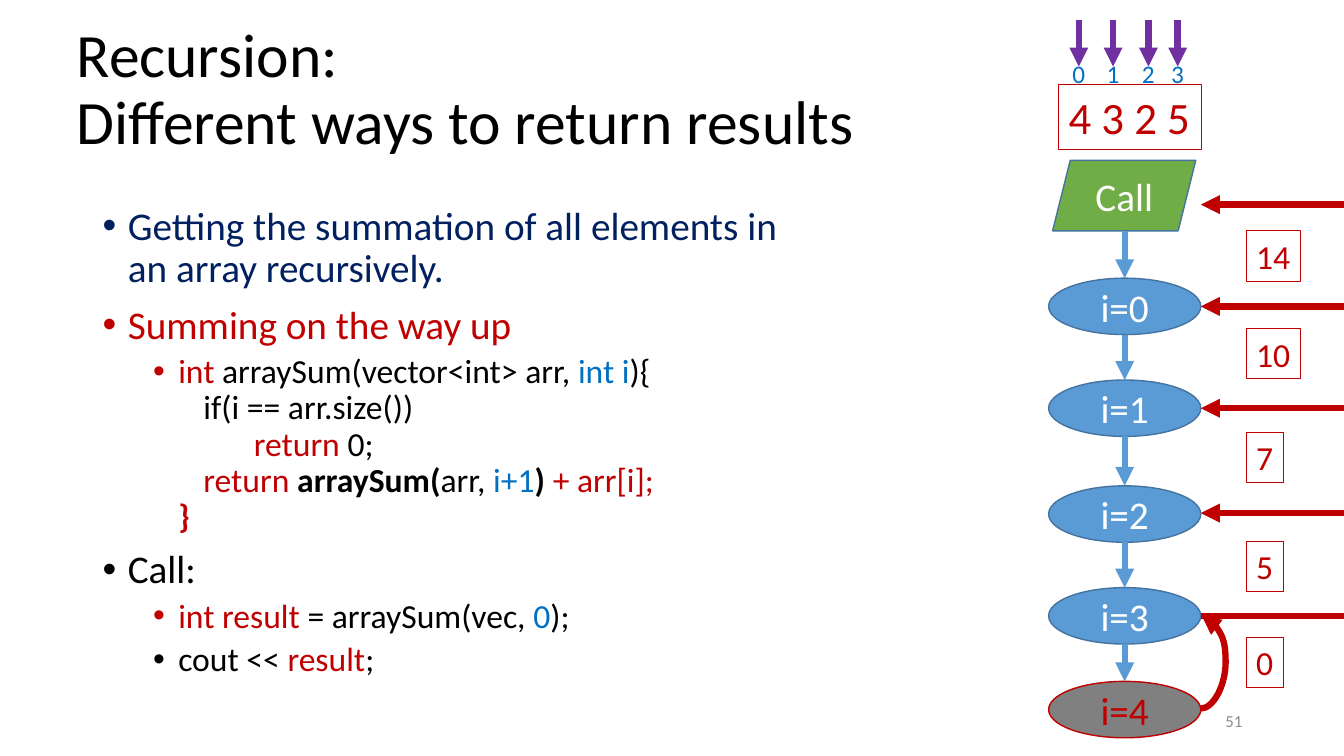
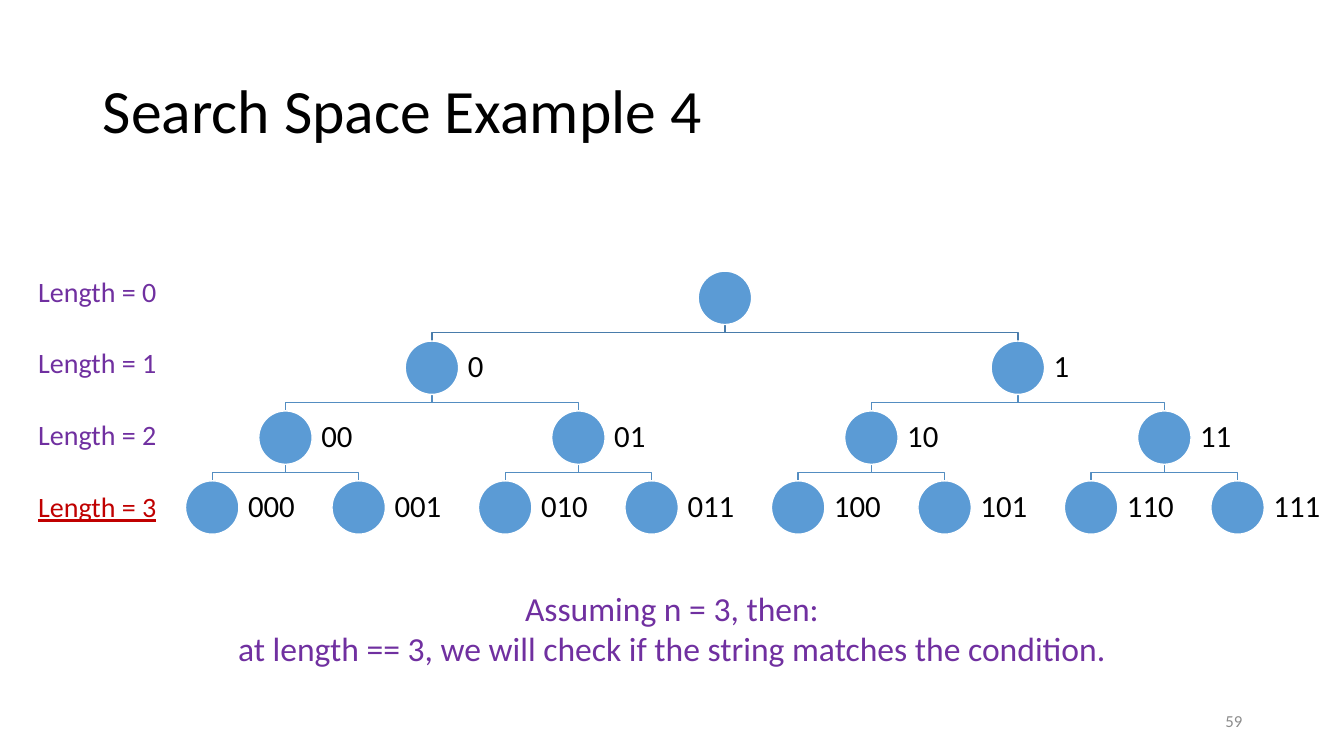
from dataclasses import dataclass

from lxml import etree
from pptx import Presentation
from pptx.dml.color import RGBColor
from pptx.enum.shapes import MSO_CONNECTOR, MSO_SHAPE
from pptx.enum.text import MSO_ANCHOR, MSO_AUTO_SIZE, PP_ALIGN
from pptx.oxml.ns import qn
from pptx.util import Inches, Pt

STRAIGHT, CURVE = MSO_CONNECTOR.STRAIGHT, MSO_CONNECTOR.CURVE
OVAL, RECTANGLE = MSO_SHAPE.OVAL, MSO_SHAPE.RECTANGLE
PARALLELOGRAM = MSO_SHAPE.PARALLELOGRAM
LEFT, CENTER, RIGHT = PP_ALIGN.LEFT, PP_ALIGN.CENTER, PP_ALIGN.RIGHT
TOP, MIDDLE = MSO_ANCHOR.TOP, MSO_ANCHOR.MIDDLE
NO_AUTOFIT = MSO_AUTO_SIZE.NONE
TITLE_ONLY = 5
SLIDE_WIDTH, SLIDE_HEIGHT = 13.33, 7.5


@dataclass(frozen=True)
class Theme:
    font: str = "Calibri"
    black: str = "000000"
    white: str = "FFFFFF"
    navy: str = "002060"
    red: str = "C00000"
    blue: str = "0070C0"
    purple: str = "7030A0"
    node: str = "5B9BD5"
    outline: str = "43739E"
    green: str = "70AD47"
    gray: str = "808080"
    footer: str = "8C8C8C"
    root_link: str = "497CAB"
    link: str = "538DC1"
    title_size: int = 44
    array_size: int = 32
    main_size: int = 28
    code_size: int = 24
    label_size: int = 22
    level_size: int = 20
    index_size: int = 18
    footer_size: int = 12
    arrow_width: float = 4.5


@dataclass(frozen=True)
class Box:
    left: float
    top: float
    width: float
    height: float

    @property
    def right(self):
        return self.left + self.width

    @property
    def bottom(self):
        return self.top + self.height

    @property
    def center(self):
        return self.left + self.width / 2

    @property
    def inches(self):
        return [Inches(v) for v in (self.left, self.top, self.width, self.height)]


THEME = Theme()


def rgb(color):
    return RGBColor.from_string(color)


def add_spans(para, spans, size):
    for text, color, *style in spans:
        for number, piece in enumerate(text.split("\n")):
            if number:
                para.add_line_break()
            if piece:
                span = para.add_run()
                span.text = piece
                span.font.name = THEME.font
                span.font.size = Pt(size)
                span.font.color.rgb = rgb(color)
                span.font.bold = "bold" in style
                span.font.underline = "underline" in style


def write(shape, spans, size, align=LEFT, anchor=TOP, wrap=True):
    frame = shape.text_frame
    frame.auto_size = NO_AUTOFIT
    frame.word_wrap = wrap
    frame.vertical_anchor = anchor
    para = frame.paragraphs[0]
    para.alignment = align
    add_spans(para, spans, size)
    return frame


def add_text(page, box, spans, size, **layout):
    return write(page.shapes.add_textbox(*box.inches), spans, size, **layout)


def add_block(page, kind, box, fill, line, width=1):
    shape = page.shapes.add_shape(kind, *box.inches)
    shape.shadow.inherit = False
    if fill:
        shape.fill.solid()
        shape.fill.fore_color.rgb = rgb(fill)
    else:
        shape.fill.background()
    shape.line.color.rgb = rgb(line)
    shape.line.width = Pt(width)
    return shape


def add_arrow(page, start, end, color, kind=STRAIGHT, head=True):
    arrow = page.shapes.add_connector(kind, *[Inches(v) for v in (*start, *end)])
    arrow.line.color.rgb = rgb(color)
    arrow.line.width = Pt(THEME.arrow_width)
    properties = arrow._element.spPr
    if head:
        line = properties.find(qn("a:ln"))
        etree.SubElement(line, qn("a:tailEnd"), type="triangle")
    etree.SubElement(properties, qn("a:effectLst"))
    return arrow


def add_page(deck, title, title_box, number):
    page = deck.slides.add_slide(deck.slide_layouts[TITLE_ONLY])
    heading = page.shapes.title
    heading.left, heading.top, heading.width, heading.height = title_box.inches
    frame = write(heading, [(title, THEME.black)], THEME.title_size, anchor=MIDDLE)
    frame.paragraphs[0].line_spacing = 0.9
    add_text(page, Box(9.42, 6.95, 3, 0.4), [(number, THEME.footer)],
             THEME.footer_size, align=RIGHT, anchor=MIDDLE)
    return page


def add_bullets(page, box, items):
    frame = add_text(page, box, [], THEME.main_size)
    for number, (level, spans) in enumerate(items):
        para = frame.add_paragraph() if number else frame.paragraphs[0]
        para.level = level
        para.line_spacing = 0.9
        para.space_before = Pt(5 if level else 10)
        properties = para._p.get_or_add_pPr()
        properties.set("marL", str(Inches(0.75 if level else 0.25)))
        properties.set("indent", str(Inches(-0.25)))
        etree.SubElement(properties, qn("a:buFont"), typeface="Arial")
        etree.SubElement(properties, qn("a:buChar"), char="•")
        add_spans(para, spans, THEME.code_size if level else THEME.main_size)


def add_array(page, box):
    for index, offset in enumerate((0.2, 0.54, 0.89, 1.18)):
        x = box.left + offset
        add_arrow(page, (x, box.top), (x, box.top + 0.46), THEME.purple)
        add_text(page, Box(x - 0.2, box.top + 0.33, 0.4, 0.4),
                 [(str(index), THEME.blue)], THEME.index_size, align=CENTER)
    values = add_block(page, RECTANGLE,
                       Box(box.left, box.bottom - 0.64, box.width, 0.64),
                       None, THEME.red, 0.75)
    write(values, [("4 3 2 5", THEME.red)], THEME.array_size, wrap=False)


def add_call_chain(page, box):
    oval_height = 0.56
    call_box = Box(box.left + 0.04, box.top, 1.42, 0.7)
    call = add_block(page, PARALLELOGRAM, call_box, THEME.green, THEME.outline)
    write(call, [("Call", THEME.white)], THEME.main_size, CENTER, MIDDLE)
    above = call_box.bottom
    offsets = (1.17, 2.18, 3.23, 4.24, 5.17)
    for index, offset in enumerate(offsets):
        last = index == len(offsets) - 1
        oval_box = Box(box.left, box.top + offset, box.width, oval_height)
        oval = add_block(page, OVAL, oval_box,
                         THEME.gray if last else THEME.node,
                         THEME.red if last else THEME.outline)
        write(oval, [(f"i={index}", THEME.red if last else THEME.white)],
              THEME.main_size, CENTER, MIDDLE)
        step = add_arrow(page, (box.center, above), (box.center, oval_box.top), THEME.node)
        step.end_connect(oval, 0)
        above = oval_box.bottom


def add_returns(page, box):
    for offset in (0, 1.01, 2.02, 3.06, 4.08):
        y = box.top + offset
        add_arrow(page, (box.right, y), (box.left, y), THEME.red, head=offset < 4)
    base = add_arrow(page, (box.left, box.bottom), (box.left + 0.01, box.top + 4.08),
                     THEME.red, CURVE)
    guides = base._element.spPr.find(qn("a:prstGeom")).get_or_add_avLst()
    etree.SubElement(guides, qn("a:gd"), name="adj1", fmla="val 2500000")
    for value, offset in (("14", 0.26), ("10", 1.23), ("7", 2.26), ("5", 3.34), ("0", 4.29)):
        width = 0.2 + 0.17 * len(value)
        result = add_block(page, RECTANGLE,
                           Box(box.left + 0.45, box.top + offset, width, 0.5),
                           None, THEME.red, 0.75)
        write(result, [(value, THEME.red)], THEME.code_size, wrap=False)


def add_link(page, start, end, color):
    middle = (start[1] + end[1]) / 2
    points = [start, (start[0], middle), (end[0], middle), end]
    corners = [(Inches(x), Inches(y)) for x, y in points]
    builder = page.shapes.build_freeform(*corners[0], scale=1.0)
    builder.add_line_segments(corners[1:], close=False)
    link = builder.convert_to_shape()
    link.shadow.inherit = False
    link.fill.background()
    link.line.color.rgb = rgb(color)
    link.line.width = Pt(1)


def add_tree(page, box, depth):
    diameter, label_width = 0.53, 0.79
    leaf_gap = (box.width - diameter - label_width) / (2 ** depth - 1)
    row_gap = (box.height - diameter) / depth

    def node_box(level, index):
        span = 2 ** (depth - level)
        leaf = index * span + (span - 1) / 2
        return Box(box.left + leaf * leaf_gap, box.top + level * row_gap, diameter, diameter)

    nodes = [(level, index) for level in range(depth + 1) for index in range(2 ** level)]
    for level, index in nodes[1:]:
        parent, child = node_box(level - 1, index // 2), node_box(level, index)
        add_link(page, (parent.center, parent.bottom), (child.center, child.top),
                 THEME.root_link if level == 1 else THEME.link)
    for level, index in nodes:
        node = node_box(level, index)
        add_block(page, OVAL, node, THEME.node, THEME.white)
        if level:
            frame = add_text(page, Box(node.right, node.top, label_width, diameter),
                             [(f"{index:0{level}b}", THEME.black)],
                             THEME.label_size, anchor=MIDDLE)
            frame.margin_left = frame.margin_right = Inches(0.09)
            frame.paragraphs[0].line_spacing = 0.9


def add_level_names(page, box, depth):
    gap = (box.height - 0.44) / depth
    for level in range(depth + 1):
        style = (THEME.red, "underline") if level == depth else (THEME.purple,)
        add_text(page, Box(box.left, box.top + level * gap, box.width, 0.44),
                 [(f"Length = {level}", *style)], THEME.level_size, wrap=False)


def build_recursion(deck):
    page = add_page(deck, "Recursion:\nDifferent ways to return results",
                    Box(0.66, 0.18, 11.5, 1.45), "51")
    black, red, blue = THEME.black, THEME.red, THEME.blue
    add_bullets(page, Box(0.92, 2, 7.2, 5.04), [
        (0, [("Getting the summation of all elements in an array recursively.", THEME.navy)]),
        (0, [("Summing on the way up", red)]),
        (1, [("int ", red), ("arraySum(vector<int> arr, ", black), ("int i", blue),
             ("){\n\tif(i == arr.size())\n\t\t", black), ("return", red),
             (" 0;\n\t", black), ("return ", red), ("arraySum(", black, "bold"),
             ("arr, ", black), ("i+1", blue), (") ", black, "bold"),
             ("+ arr[i];\n", red), ("}", red, "bold")]),
        (0, [("Call:", black)]),
        (1, [("int result ", red), ("= arraySum(vec, ", black), ("0", blue), (");", black)]),
        (1, [("cout << ", black), ("result", red), (";", black)]),
    ])
    add_array(page, Box(10.5, 0.2, 1.42, 1.28))
    add_call_chain(page, Box(10.4, 1.59, 1.51, 5.73))
    add_returns(page, Box(11.91, 2.03, SLIDE_WIDTH - 11.91, 5))


def build_search_space(deck):
    page = add_page(deck, "Search Space Example 4", Box(0.92, 0.4, 11.5, 1.45), "59")
    depth = 3
    add_tree(page, Box(1.84, 2.69, 11.49, 2.61), depth)
    add_level_names(page, Box(0.28, 2.67, 1.38, 2.58), depth)
    add_text(page, Box(2.21, 5.78, 8.91, 0.91),
             [("Assuming n = 3, then:\nat length == 3, we will check if the string "
               "matches the condition.", THEME.purple)],
             THEME.code_size, align=CENTER, wrap=False)


def main():
    deck = Presentation()
    deck.slide_width, deck.slide_height = Inches(SLIDE_WIDTH), Inches(SLIDE_HEIGHT)
    build_recursion(deck)
    build_search_space(deck)
    deck.save("out.pptx")


if __name__ == "__main__":
    main()
